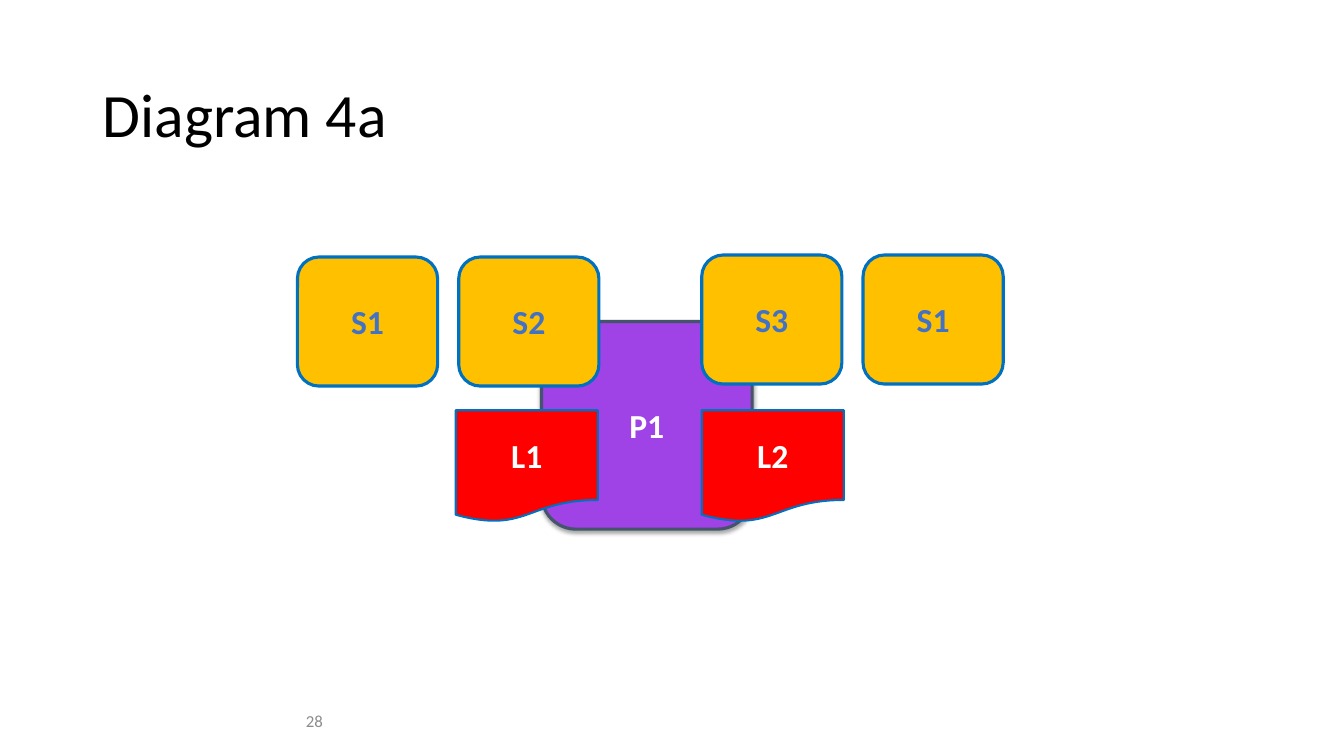
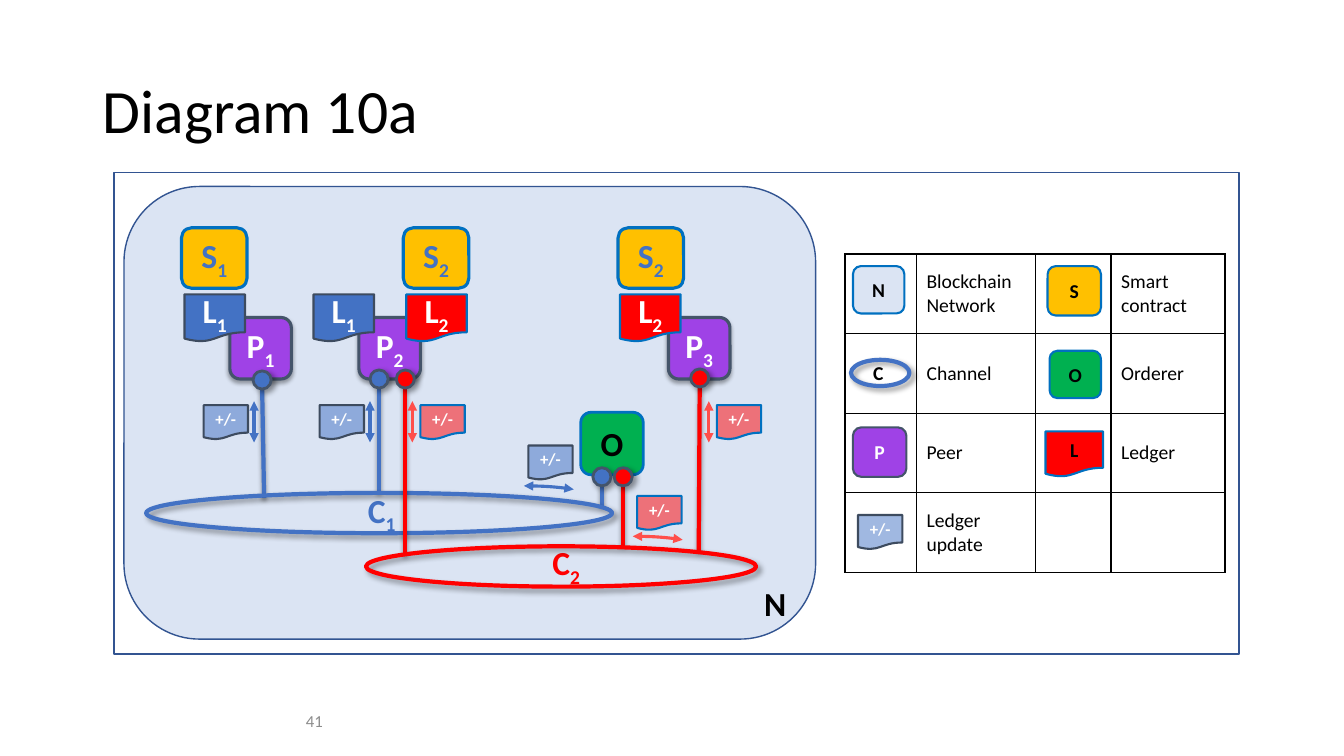
from dataclasses import dataclass, replace
from itertools import product

from lxml import etree
from pptx import Presentation, util as u
from pptx.dml.color import RGBColor
from pptx.enum import shapes as kinds, text as t
from pptx.oxml.ns import qn

CELL = 0.1  # inches per grid column and row
FONT = "Calibri"
COLOURS = {
    "black": "000000", "white": "FFFFFF", "grey": "8C8C8C", "slate": "44546A",
    "dark slate": "3D4B5F", "blue": "4372C4", "edge": "0070C0", "navy": "325491",
    "pale": "DBE4F3", "red": "FF0000", "coral": "FF4F4B", "gold": "FFC000",
    "green": "00B050", "purple": "9F42E6",
}
# colour, opacity %, blur pt, distance pt, direction in degrees
SOFT = ("black", 35, 3.1, 1.8, 90)
CAST = ("black", 40, 4, 3, 45)
THIN = ("black", 38, 3.1, 1.6, 90)
KIND = kinds.MSO_SHAPE
ALIGN = t.PP_ALIGN
MIDDLE = t.MSO_ANCHOR.MIDDLE


@dataclass(frozen=True)
class Look:
    kind: KIND
    fill: str | None
    edge: str
    weight: float
    ink: str = "white"
    size: float = 24
    opacity: int = 100
    shadow: tuple | None = None


@dataclass(frozen=True)
class Box:
    """A rectangle in grid columns and rows."""
    column: float
    row: float
    width: float
    height: float

    def lengths(self) -> list[int]:
        return [grid(n) for n in (self.column, self.row, self.width, self.height)]


@dataclass(frozen=True)
class Link:
    """A line that hangs from a dot down to a channel."""
    start: float
    end: float
    top: float
    bottom: float


@dataclass(frozen=True)
class Channel:
    label: str
    colour: str
    label_box: Box
    ring: Box
    links: tuple[Link, ...]
    note: Look
    arrow: str
    arrow_offset: float
    note_columns: tuple[float, ...]
    order_note: tuple[float, float]


ROUND, PAGE = KIND.ROUNDED_RECTANGLE, KIND.FLOWCHART_DOCUMENT
CONTRACT = Look(ROUND, "gold", "edge", 2.25, "blue")
PEER = Look(ROUND, "purple", "slate", 2.25, shadow=SOFT)
ORDERER = Look(ROUND, "green", "edge", 2, "black")
NETWORK = Look(ROUND, "pale", "navy", 1)
FRAME = Look(KIND.RECTANGLE, None, "navy", 1)
RED_LEDGER = Look(PAGE, "red", "edge", 1.5)
BLUE_LEDGER = Look(PAGE, "blue", "dark slate", 1.5)
RED_NOTE = replace(RED_LEDGER, size=12, opacity=50)
BLUE_NOTE = replace(BLUE_LEDGER, size=12, opacity=50)
NOTE_SIZE = (4.4, 3.4)
DOT = 1.8


def grid(cells: float) -> int:
    return u.Inches(cells * CELL)


def rgb(name: str) -> RGBColor:
    return RGBColor.from_string(COLOURS[name])


def apply_format(target, values: dict) -> None:
    for name, value in values.items():
        setattr(target, name, value)


def write(paragraph, label: str, size: float, ink: str, bold: bool = False) -> None:
    """Write a label; what follows an underscore becomes a subscript."""
    for index, part in enumerate(label.split("_")):
        run = paragraph.add_run()
        run.text = part
        apply_format(run.font, {"name": FONT, "size": u.Pt(size), "bold": bold})
        run.font.color.rgb = rgb(ink)
        if index:
            run._r.get_or_add_rPr().set("baseline", "-25000")


def set_shadow(shape, shadow: tuple | None) -> None:
    properties = shape._element.spPr
    effects = properties.find(qn("a:effectLst"))
    if effects is None:
        effects = etree.SubElement(properties, qn("a:effectLst"))
    if shadow:
        colour, opacity, blur, distance, angle = shadow
        outer = etree.SubElement(
            effects, qn("a:outerShdw"), blurRad=str(int(u.Pt(blur))),
            dist=str(int(u.Pt(distance))), dir=str(angle * 60000), rotWithShape="0")
        tint = etree.SubElement(outer, qn("a:srgbClr"), val=COLOURS[colour])
        etree.SubElement(tint, qn("a:alpha"), val=str(opacity * 1000))


def set_line(shape, colour: str, weight: float, arrows: bool = False) -> None:
    shape.line.color.rgb = rgb(colour)
    shape.line.width = u.Pt(weight)
    if arrows:
        outline = shape._element.spPr.find(qn("a:ln"))
        for end in ("a:headEnd", "a:tailEnd"):
            etree.SubElement(outline, qn(end), type="triangle")


def draw(slide, look: Look, box: Box, label: str = ""):
    shape = slide.shapes.add_shape(look.kind, *box.lengths())
    shape.shadow.inherit = False
    if look.fill:
        shape.fill.solid()
        shape.fill.fore_color.rgb = rgb(look.fill)
        if look.opacity < 100:
            tint = next(shape._element.spPr.iter(qn("a:srgbClr")))
            etree.SubElement(tint, qn("a:alpha"), val=str(look.opacity * 1000))
    else:
        shape.fill.background()
    set_line(shape, look.edge, look.weight)
    set_shadow(shape, look.shadow)
    if label:
        apply_format(shape.text_frame, {"word_wrap": False, "vertical_anchor": MIDDLE})
        paragraph = shape.text_frame.paragraphs[0]
        paragraph.alignment = ALIGN.CENTER
        write(paragraph, label, look.size, look.ink, bold=True)
    return shape


def add_text(slide, box: Box, label: str, size: float, ink: str, bold: bool = False,
             frame_format: dict | None = None, paragraph_format: dict | None = None) -> None:
    frame = slide.shapes.add_textbox(*box.lengths()).text_frame
    apply_format(frame, {"word_wrap": True} | (frame_format or {}))
    apply_format(frame.paragraphs[0], paragraph_format or {})
    write(frame.paragraphs[0], label, size, ink, bold)


def add_line(slide, start: tuple, end: tuple, colour: str, weight: float,
             shadow: tuple | None = None, arrows: bool = False) -> None:
    line = slide.shapes.add_connector(
        kinds.MSO_CONNECTOR.STRAIGHT, *(grid(n) for n in start + end))
    set_line(line, colour, weight, arrows)
    set_shadow(line, shadow)


def add_slide(presentation, title: str, title_row: float, number: str):
    slide = presentation.slides.add_slide(presentation.slide_layouts[6])
    middle = {"vertical_anchor": MIDDLE}
    add_text(slide, Box(9.2, title_row, 115, 14.5), title, 44, "black",
             frame_format=middle, paragraph_format={"line_spacing": 0.9})
    add_text(slide, Box(3, 69.5, 30, 4), number, 12, "grey",
             frame_format=middle, paragraph_format={"alignment": ALIGN.RIGHT})
    return slide


def draw_channel(slide, channel: Channel) -> None:
    add_text(slide, channel.label_box, channel.label, 24, channel.colour, True,
             {"word_wrap": False})
    dot = Look(KIND.OVAL, channel.colour, "slate", 2, shadow=CAST)
    for link in channel.links:
        add_line(slide, (link.start, link.top), (link.end, link.bottom),
                 channel.colour, 3, THIN)
        draw(slide, dot, Box(link.start - DOT / 2, link.top - DOT, DOT, DOT))
    draw(slide, Look(KIND.OVAL, None, channel.colour, 3, shadow=CAST), channel.ring)


def draw_updates(slide, channel: Channel) -> None:
    for column in channel.note_columns:
        draw(slide, channel.note, Box(column, 40.2, *NOTE_SIZE), "+/-")
        arrow = column + channel.arrow_offset
        add_line(slide, (arrow, 39.8), (arrow, 43.9), channel.arrow, 2.25, arrows=True)
    column, row = channel.order_note
    draw(slide, channel.note, Box(column, row, *NOTE_SIZE), "+/-")
    arc = slide.shapes.add_shape(KIND.ARC, *Box(column - 7.8, row + 4, 14.9, 2.9).lengths())
    arc.shadow.inherit = False
    arc.adjustments[0], arc.adjustments[1] = 159.9, 208.35
    arc.fill.background()
    set_line(arc, channel.arrow, 2.25, arrows=True)


def format_cell(cell) -> None:
    cell.vertical_anchor = MIDDLE
    properties = cell._tc.get_or_add_tcPr()
    for side in ("a:lnL", "a:lnR", "a:lnT", "a:lnB"):
        border = etree.SubElement(properties, qn(side), w=str(int(u.Pt(1))))
        fill = etree.SubElement(border, qn("a:solidFill"))
        etree.SubElement(fill, qn("a:srgbClr"), val=COLOURS["black"])
    cell.fill.background()


def draw_legend(slide) -> None:
    names = (("Blockchain Network", "Smart contract"), ("Channel", "Orderer"),
             ("Peer", "Ledger"), ("Ledger update", ""))
    widths, height = (7.1, 11.8, 7.5, 11.3), 7.9
    table = slide.shapes.add_table(
        len(names), len(widths),
        *Box(83.8, 25.2, sum(widths), height * len(names)).lengths()).table
    apply_format(table, {"first_row": False, "horz_banding": False})
    for column, width in zip(table.columns, widths):
        column.width = grid(width)
    for row in table.rows:
        row.height = grid(height)
    for row, column in product(range(len(names)), range(len(widths))):
        cell = table.cell(row, column)
        format_cell(cell)
        if column % 2 and names[row][column // 2]:
            write(cell.text_frame.paragraphs[0], names[row][column // 2], 14, "black")
    channel_key = table.cell(1, 0)
    channel_key.margin_left = grid(2.8)
    write(channel_key.text_frame.paragraphs[0], "C", 14, "black", bold=True)

    small = {"size": 14, "weight": 1.5, "shadow": None}
    dark = small | {"ink": "black"}
    for look, box, label in (
        (replace(RED_LEDGER, **dark), Box(103.7, 42.8, 5.7, 4.5), "L"),
        (replace(ORDERER, **dark), Box(104.1, 34.8, 5.1, 4.7), "O"),
        (replace(NETWORK, edge="edge", **dark), Box(84.6, 26.4, 5.1, 4.7), "N"),
        (replace(CONTRACT, **dark), Box(103.9, 26.4, 5.3, 4.9), "S"),
        (replace(PEER, **small), Box(84.6, 42.4, 5.3, 4.9), "P"),
        (Look(KIND.OVAL, None, "blue", 3, shadow=CAST), Box(84.4, 35.7, 5.8, 2.6), ""),
        (BLUE_NOTE, Box(85.1, 51.1, *NOTE_SIZE), "+/-"),
    ):
        draw(slide, look, box, label)


def build_peer_slide(presentation) -> None:
    slide = add_slide(presentation, "Diagram 4a", 4.4, "28")
    draw(slide, PEER, Box(53.7, 31.9, 20.9, 20.6), "P1")
    for first, row, labels in ((29.5, 25.5, ("S1", "S2")), (69.6, 25.3, ("S3", "S1"))):
        for index, label in enumerate(labels):
            draw(slide, CONTRACT, Box(first + index * 16, row, 13.9, 12.8), label)
    for column, label in ((45.2, "L1"), (69.6, "L2")):
        draw(slide, RED_LEDGER, Box(column, 40.7, 14.1, 11.1), label)


def build_network_slide(presentation) -> None:
    slide = add_slide(presentation, "Diagram 10a", 4, "41")
    draw(slide, NETWORK, Box(12.3, 18.5, 68.6, 44.9))
    for look, row, size, items in (
        (PEER, 31.5, (6.1, 6.1), ((22.8, "P_1"), (35.6, "P_2"), (66.3, "P_3"))),
        (ORDERER, 40.9, (6.2, 6.2), ((57.6, "O"),)),
        (BLUE_LEDGER, 29.2, (6, 4.7), ((18.3, "L_1"), (31.1, "L_1"))),
        (RED_LEDGER, 29.2, (6, 4.7), ((40.3, "L_2"), (61.5, "L_2"))),
        (CONTRACT, 22.6, (6.5, 6), ((18, "S_1"), (40, "S_2"), (61.3, "S_2"))),
    ):
        for column, label in items:
            draw(slide, look, Box(column, row, *size), label)
    channels = (
        Channel("C_1", "blue", Box(35.5, 48.1, 4.9, 5), Box(14.5, 48.9, 46.2, 4),
                (Link(26, 26.2, 38.6, 49.4), Link(37.6, 37.6, 38.5, 48.9),
                 Link(59.7, 59.7, 48.2, 50.2)),
                BLUE_NOTE, "blue", 5, (20.2, 31.7), (52.4, 44.2)),
        Channel("C_2", "red", Box(53.8, 53.3, 4.9, 5), Box(36.3, 54.2, 38.7, 4),
                (Link(40.2, 40.2, 38.5, 55), Link(61.8, 61.8, 48.2, 54.2),
                 Link(69.4, 69.3, 38.4, 54.7)),
                RED_NOTE, "coral", -0.8, (41.7, 71.1), (63.2, 49.2)),
    )
    for channel in channels:
        draw_channel(slide, channel)
    for channel in channels:
        draw_updates(slide, channel)
    add_text(slide, Box(74.8, 57.3, 5.8, 5), "N", 24, "black", True)
    draw_legend(slide)
    draw(slide, FRAME, Box(11.3, 17.1, 111.6, 47.8))


def main() -> None:
    presentation = Presentation()
    presentation.slide_width, presentation.slide_height = u.Inches(13.33), u.Inches(7.5)
    build_peer_slide(presentation)
    build_network_slide(presentation)
    presentation.save("out.pptx")


if __name__ == "__main__":
    main()
